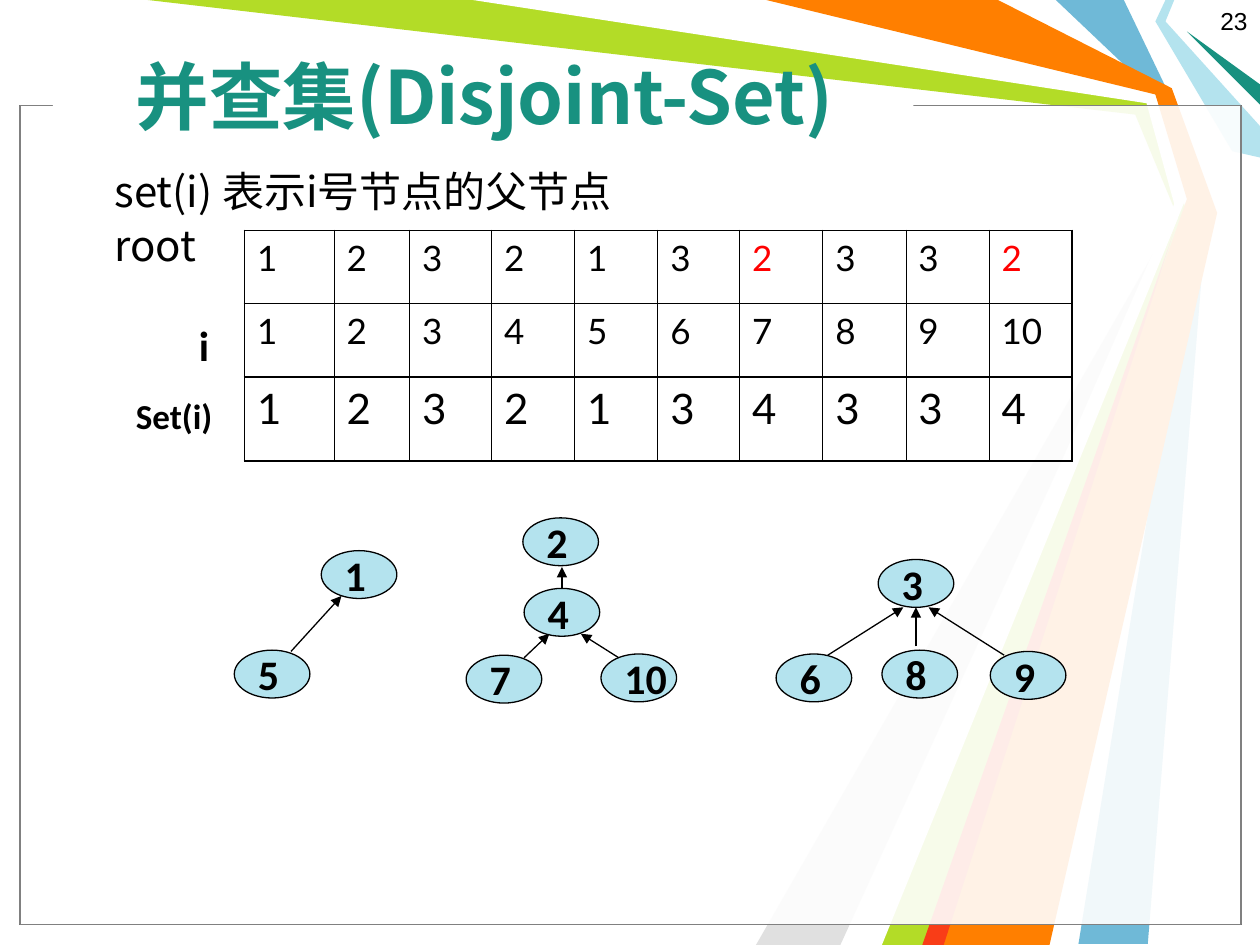
from lxml.etree import SubElement
from pptx import Presentation
from pptx.dml.color import RGBColor
from pptx.enum.shapes import MSO_CONNECTOR, MSO_SHAPE
from pptx.enum.text import MSO_ANCHOR, PP_ALIGN
from pptx.oxml.ns import qn
from pptx.util import Inches, Pt

BLACK = RGBColor(0x00, 0x00, 0x00)
WHITE = RGBColor(0xFF, 0xFF, 0xFF)
RED = RGBColor(0xFF, 0x00, 0x00)
GRAY = RGBColor(0x80, 0x80, 0x80)
SILVER = RGBColor(0xE0, 0xE0, 0xE0)
TEAL = RGBColor(0x18, 0x91, 0x80)
SKY = RGBColor(0x6F, 0xB9, 0xD7)
PALE_BLUE = RGBColor(0xB4, 0xE3, 0xEE)
LIME = RGBColor(0xB3, 0xDC, 0x27)
ORANGE = RGBColor(0xFF, 0x7F, 0x00)
SCARLET = RGBColor(0xF9, 0x3D, 0x17)
CJK = "Noto Sans CJK SC"

RIBBONS = [
    (SKY, [(8.92, 0), (9.29, 0.77), (9.58, 1.67), (9.11, 7.49), (8.56, 7.49),
           (9.5, 1.67), (9.17, 0.75), (8.38, 0)]),
    (LIME, [(1.17, 0), (3.83, 0), (9.14, 0.78), (9.42, 1.69), (7.42, 7.5),
            (6.92, 7.5), (9.35, 1.73), (9.01, 0.91)]),
    (SILVER, [(6.67, 7.5), (9.27, 1.81), (6, 7.5)]),
    (WHITE, [(3.75, 0), (9.1, 0.82), (9.32, 1.62), (6.75, 7.5), (7, 7.5),
             (9.41, 1.58), (9.17, 0.75), (6, 0)]),
    (PALE_BLUE, [(9.25, 0), (9.17, 0.17), (9.78, 1.2), (10, 1.25), (10, 1),
                 (9.25, 0.17), (9.32, 0)]),
    (TEAL, [(10, 0.83), (9.42, 0.25), (10, 0.67)]),
    (ORANGE, [(6.08, 0), (7.92, 0), (9.3, 0.7), (9.66, 1.69), (8.33, 7.5),
              (7.33, 7.5), (9.42, 1.58), (9.17, 0.75)]),
    (SCARLET, [(7.32, 7.5), (9.32, 1.83), (7.49, 7.5)]),
]

TABLE_ROWS = [  # values, text size, row height
    ([1, 2, 3, 2, 1, 3, 2, 3, 3, 2], 20, 0.58),
    ([1, 2, 3, 4, 5, 6, 7, 8, 9, 10], 20, 0.58),
    ([1, 2, 3, 2, 1, 3, 4, 3, 3, 4], 24, 0.67),
]
COL_WIDTHS = [0.71, 0.6, 0.65, 0.66, 0.66, 0.65, 0.66, 0.66, 0.66, 0.66]
RED_CELLS = {(0, 6), (0, 9)}

NODE_W, NODE_H = 0.6, 0.38
NODES = {1: (2.55, 4.37), 5: (1.86, 5.16),
         2: (4.15, 4.11), 4: (4.16, 4.67), 7: (3.7, 5.2), 10: (4.77, 5.19),
         3: (6.97, 4.44), 6: (6.16, 5.19), 8: (7, 5.16), 9: (7.86, 5.17)}
ARROWS = [  # child end, parent end
    ((2.31, 5.17), (2.71, 4.73)),
    ((4.16, 5.22), (4.36, 5.03)), ((4.91, 5.22), (4.61, 5.03)),
    ((4.46, 4.67), (4.46, 4.5)),
    ((6.57, 5.2), (7.17, 4.82)), ((7.27, 5.13), (7.27, 4.82)),
    ((7.97, 5.2), (7.37, 4.82)),
]


def style_runs(p, size, font, color=BLACK, bold=False):
    for r in p.runs:
        r.font.size, r.font.name, r.font.bold = Pt(size), font, bold
        r.font.color.rgb = color
        if font == CJK:
            SubElement(r._r.get_or_add_rPr(), qn("a:ea"), typeface=font)


def add_text(slide, box, lines, size, font, color=BLACK, bold=False, wrap=True):
    tf = slide.shapes.add_textbox(*map(Inches, box)).text_frame
    tf.word_wrap = wrap
    tf.text = "\n".join(lines)
    for p in tf.paragraphs:
        style_runs(p, size, font, color, bold)
    return tf


def paint(sp, fill, line=None, opacity=None):
    sp.shadow.inherit = False
    sp.fill.solid()
    sp.fill.fore_color.rgb = fill
    if opacity:
        clr = sp._element.spPr.find(qn("a:solidFill"))[0]
        SubElement(clr, qn("a:alpha"), val=str(opacity * 1000))
    if line is None:
        sp.line.fill.background()
    else:
        sp.line.color.rgb = line
        sp.line.width = Pt(0.75)


def add_backdrop(slide):
    for color, points in RIBBONS:
        points = [(Inches(x), Inches(y)) for x, y in points]
        builder = slide.shapes.build_freeform(*points[0])
        builder.add_line_segments(points[1:], close=True)
        paint(builder.convert_to_shape(), color)
    frame = (0.16, 0.84, 9.69, 6.5)
    title_gap = (0.42, 0.74, 6.83, 0.17)
    for box, line, opacity in [(frame, BLACK, 69), (frame, GRAY, 69),
                               (title_gap, None, None)]:
        sp = slide.shapes.add_shape(MSO_SHAPE.RECTANGLE, *map(Inches, box))
        paint(sp, WHITE, line, opacity)


def set_borders(cell, widths):
    tcPr = cell._tc.get_or_add_tcPr()
    for i, (side, width) in enumerate(widths.items()):
        ln = SubElement(tcPr, qn(f"a:ln{side}"), w=str(Pt(width)))
        fill = SubElement(ln, qn("a:solidFill"))
        SubElement(fill, qn("a:srgbClr"), val=str(BLACK))
        tcPr.insert(i, ln)


def add_set_table(slide):
    n_rows, n_cols = len(TABLE_ROWS), len(COL_WIDTHS)
    height = sum(row[2] for row in TABLE_ROWS)
    table = slide.shapes.add_table(
        n_rows, n_cols, Inches(1.94), Inches(1.83),
        Inches(sum(COL_WIDTHS)), Inches(height)).table
    table.first_row = table.horz_banding = False
    for col, width in zip(table.columns, COL_WIDTHS):
        col.width = Inches(width)
    for i, (values, size, row_height) in enumerate(TABLE_ROWS):
        table.rows[i].height = Inches(row_height)
        for j, value in enumerate(values):
            cell = table.cell(i, j)
            cell.text = str(value)
            color = RED if (i, j) in RED_CELLS else BLACK
            style_runs(cell.text_frame.paragraphs[0], size, "Lato", color)
            cell.fill.background()
            set_borders(cell, {"L": 1.08 if j == 0 else 0.45,
                               "R": 1.08 if j == n_cols - 1 else 0.45,
                               "T": 1.08, "B": 1.08})


def add_forest(slide):
    for label, (x, y) in NODES.items():
        sp = slide.shapes.add_shape(MSO_SHAPE.OVAL, Inches(x), Inches(y),
                                    Inches(NODE_W), Inches(NODE_H))
        paint(sp, PALE_BLUE, BLACK)
        tf = sp.text_frame
        tf.text = str(label)
        tf.word_wrap = False
        tf.vertical_anchor = MSO_ANCHOR.MIDDLE
        p = tf.paragraphs[0]
        p.alignment = PP_ALIGN.LEFT
        style_runs(p, 24, "Calibri", bold=True)
    for child, parent in ARROWS:
        arrow = slide.shapes.add_connector(MSO_CONNECTOR.STRAIGHT,
                                           *map(Inches, child + parent))
        arrow.line.color.rgb = BLACK
        arrow.line.width = Pt(0.75)
        SubElement(arrow.line._get_or_add_ln(), qn("a:tailEnd"), type="triangle")
        SubElement(arrow._element.spPr, qn("a:effectLst"))


def main():
    prs = Presentation()
    prs.slide_width, prs.slide_height = Inches(10), Inches(7.5)
    slide = prs.slides.add_slide(prs.slide_layouts[6])

    add_backdrop(slide)
    number = add_text(slide, (7.67, 0, 2.33, 0.52), ["23"], 14, "Arial")
    number.paragraphs[0].alignment = PP_ALIGN.RIGHT
    title = add_text(slide, (0.98, 0.13, 7.4, 1.25), ["并查集(Disjoint-Set)"],
                     42, CJK, TEAL, bold=True)
    title.vertical_anchor = MSO_ANCHOR.MIDDLE

    body = add_text(slide, (0.81, 1.33, 8.91, 5.4),
                    ["set(i) 表示i号节点的父节点", "root"], 24, CJK)
    for p in body.paragraphs:
        p.line_spacing = 0.85
    body.paragraphs[1].space_before = Pt(6)

    add_set_table(slide)
    add_text(slide, (1.48, 2.49, 0.35, 0.5), ["i"], 24, "Calibri", bold=True)
    add_text(slide, (0.98, 3.08, 1.09, 0.44), ["Set(i)"], 20, "Calibri", bold=True)
    add_forest(slide)
    prs.save("out.pptx")


if __name__ == "__main__":
    main()
